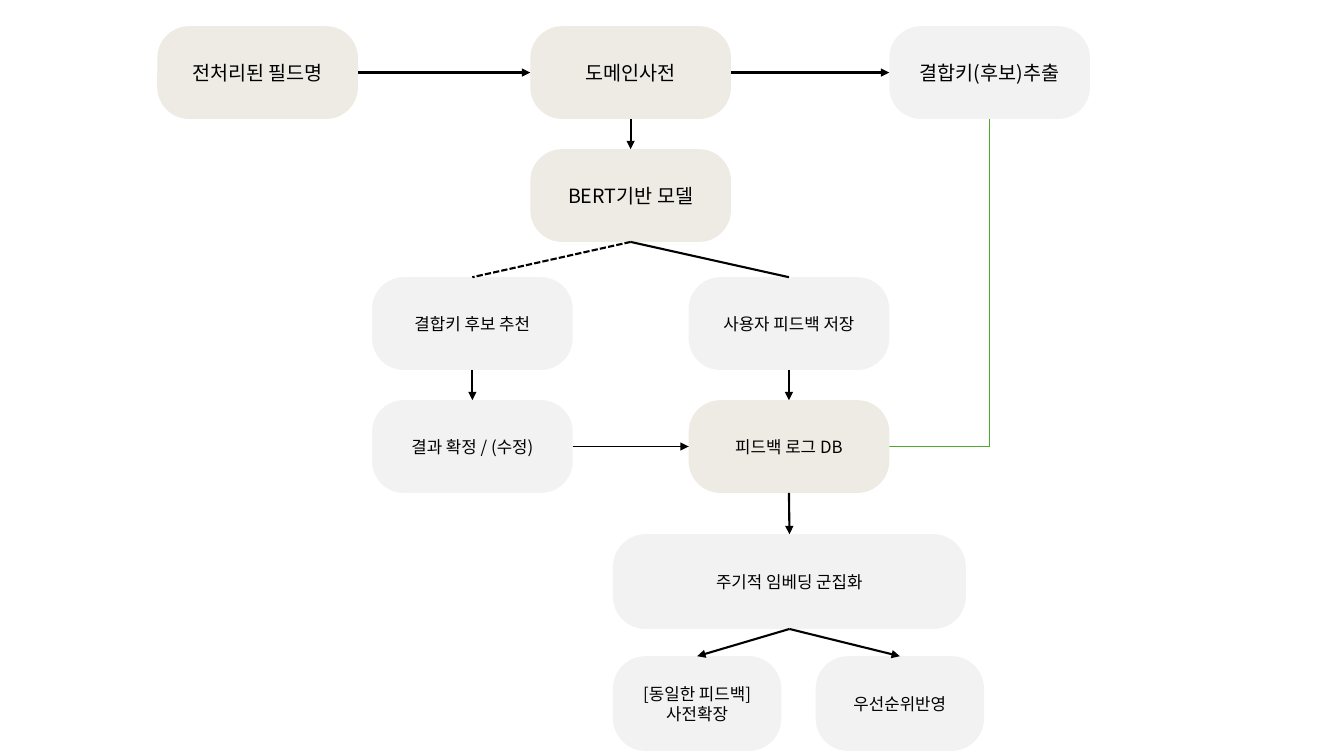
from lxml import etree
from pptx import Presentation
from pptx.dml.color import RGBColor
from pptx.enum import dml, shapes, text
from pptx.oxml.ns import qn
from pptx.util import Inches, Pt

FONT = "Noto Sans CJK KR"
COLORS = {"beige": "EDEBE3", "gray": "F2F2F2", "black": "000000", "green": "4EA72E"}
TOP, LEFT, BOTTOM, RIGHT = range(4)

# Sizes of box: width, height
STEP, WIDE, SMALL = (1.99, 0.92), (3.5, 0.94), (1.67, 0.94)

# name: (lines, left, top, size, fill, points)
BOXES = {
    "fields": (["전처리된 필드명"], 1.56, 0.26, STEP, "beige", 14),
    "dictionary": (["도메인사전"], 5.26, 0.26, STEP, "beige", 14),
    "model": (["BERT기반 모델"], 5.26, 1.48, STEP, "beige", 14),
    "suggest": (["결합키 후보 추천"], 3.69, 2.75, STEP, "gray", 12),
    "feedback": (["사용자 피드백 저장"], 6.83, 2.75, STEP, "gray", 12),
    "confirm": (["결과 확정 / (수정)"], 3.69, 3.97, STEP, "gray", 12),
    "log": (["피드백 로그 DB"], 6.83, 3.97, STEP, "beige", 12),
    "cluster": (["주기적 임베딩 군집화"], 6.08, 5.3, WIDE, "gray", 12),
    "extract": (["결합키(후보)추출"], 8.82, 0.26, STEP, "gray", 14),
    "expand": (["[동일한 피드백]", "사전확장"], 6.08, 6.51, SMALL, "gray", 12),
    "priority": (["우선순위반영"], 8.09, 6.51, SMALL, "gray", 12),
}

# (start box, side, end box, side, format)
LINKS = [
    ("fields", RIGHT, "dictionary", LEFT, {}),
    ("dictionary", RIGHT, "extract", LEFT, {}),
    ("dictionary", BOTTOM, "model", TOP, {}),
    ("suggest", BOTTOM, "confirm", TOP, {}),
    ("confirm", RIGHT, "log", LEFT, {"width": 1.25}),
    ("feedback", BOTTOM, "log", TOP, {}),
    ("model", BOTTOM, "feedback", TOP, {"arrow": False}),
    ("model", BOTTOM, "suggest", TOP, {"arrow": False, "dashed": True}),
    ("log", BOTTOM, "cluster", TOP, {}),
    ("cluster", BOTTOM, "expand", TOP, {}),
    ("cluster", BOTTOM, "priority", TOP, {}),
]


def color(name):
    return RGBColor.from_string(COLORS[name])


def write(box, lines, points=12, ink="black"):
    frame = box.text_frame
    frame.word_wrap = True
    frame.vertical_anchor = text.MSO_ANCHOR.MIDDLE
    for number, line in enumerate(lines):
        para = frame.add_paragraph() if number else frame.paragraphs[0]
        para.alignment = text.PP_ALIGN.CENTER
        span = para.add_run()
        span.text = line
        span.font.name = FONT
        span.font.size = Pt(points)
        span.font.color.rgb = color(ink)
        east_asian = etree.SubElement(span.font._element, qn("a:ea"))
        east_asian.set("typeface", FONT)


def add_box(page, lines, left, top, size, fill, points):
    box = page.shapes.add_shape(
        shapes.MSO_SHAPE.ROUNDED_RECTANGLE,
        Inches(left), Inches(top), *map(Inches, size))
    box.adjustments[0] = 0.343
    box.shadow.inherit = False
    box.fill.solid()
    box.fill.fore_color.rgb = color(fill)
    box.line.fill.background()
    write(box, lines, points=points)
    return box


def add_link(page, start, start_side, end, end_side, ink="black", width=1.5,
             arrow=True, dashed=False, kind=shapes.MSO_CONNECTOR.STRAIGHT):
    link = page.shapes.add_connector(kind, 0, 0, 0, 0)
    link.begin_connect(start, start_side)
    link.end_connect(end, end_side)
    link.line.color.rgb = color(ink)
    link.line.width = Pt(width)
    if dashed:
        link.line.dash_style = dml.MSO_LINE.SQUARE_DOT
    properties = link._element.spPr
    if arrow:
        etree.SubElement(properties.find(qn("a:ln")), qn("a:tailEnd")).set("type", "triangle")
    etree.SubElement(properties, qn("a:effectLst"))
    return link


def add_return_path(page, start, end):
    """Draw the one-corner green arrow behind all boxes."""
    link = add_link(page, start, RIGHT, end, TOP, ink="green", width=1,
                    kind=shapes.MSO_CONNECTOR.ELBOW)
    link._element.spPr.find(qn("a:prstGeom")).set("prst", "bentConnector2")
    page.shapes._spTree.insert(2, link._element)


def main():
    deck = Presentation()
    deck.slide_width, deck.slide_height = Inches(13.33), Inches(7.5)
    page = deck.slides.add_slide(deck.slide_layouts[6])
    boxes = {name: add_box(page, *content) for name, content in BOXES.items()}
    for start, start_side, end, end_side, style in LINKS:
        add_link(page, boxes[start], start_side, boxes[end], end_side, **style)
    add_return_path(page, boxes["confirm"], boxes["extract"])
    deck.save("out.pptx")


if __name__ == "__main__":
    main()
